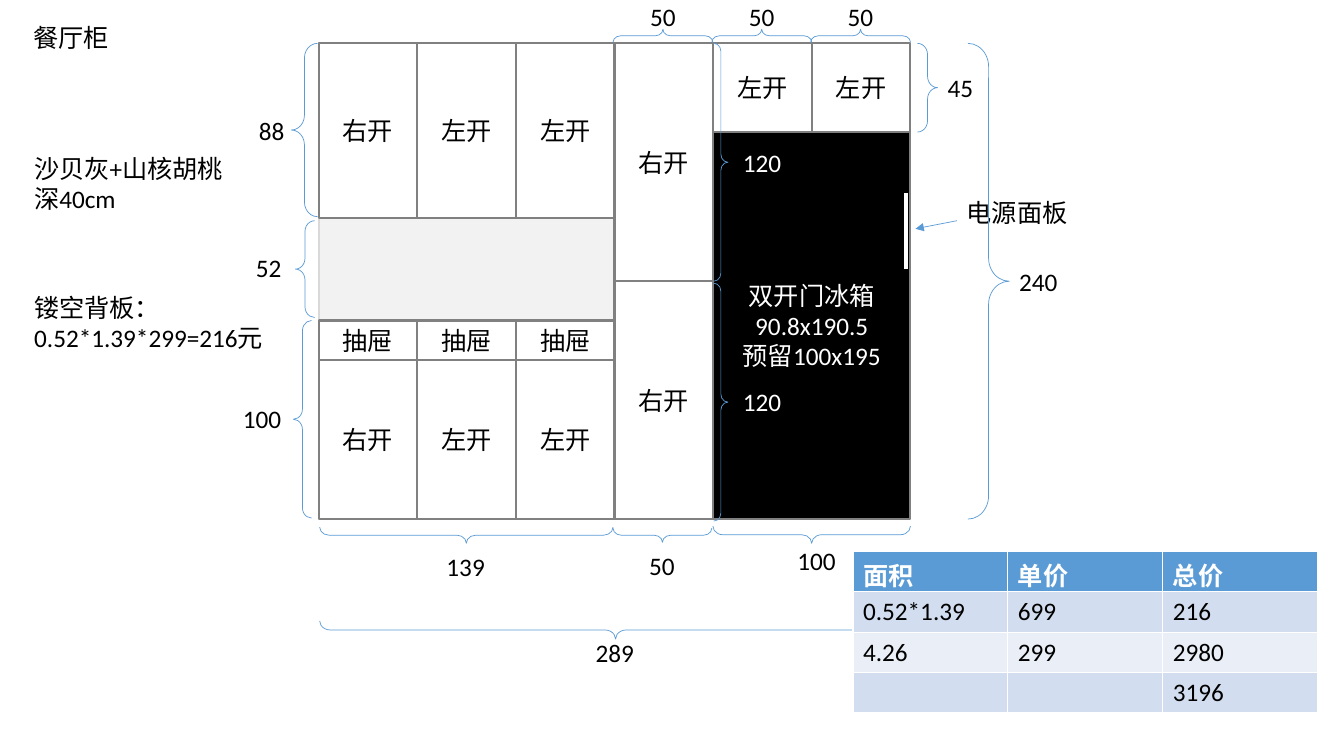
from dataclasses import dataclass

from lxml.etree import SubElement
from pptx import Presentation
from pptx.dml.color import RGBColor
from pptx.enum.shapes import MSO_CONNECTOR, MSO_SHAPE
from pptx.enum.text import MSO_ANCHOR, MSO_AUTO_SIZE, PP_ALIGN
from pptx.oxml.ns import qn
from pptx.shapes.autoshape import Shape
from pptx.slide import Slide
from pptx.text.text import TextFrame
from pptx.util import Inches, Pt


@dataclass(frozen=True)
class Theme:
    font: str = "Calibri"
    title_font: str = "Noto Sans CJK SC"
    size: int = 18
    black: str = "000000"
    white: str = "FFFFFF"
    accent: str = "5B9BD5"
    frame: str = "808080"
    carcass: str = "F2F2F2"
    carcass_line: str = "D9D9D9"
    bands: tuple[str, str] = ("D2DEEF", "EAEFF7")
    frame_width: float = 1.5
    thin_width: float = 0.5


@dataclass(frozen=True)
class Compartment:
    column: int
    top: float
    bottom: float
    label: str
    span: int = 1
    fill: str = "FFFFFF"
    color: str = "000000"


@dataclass(frozen=True)
class Dimension:
    """A brace by its visible box, with the place of its value."""
    value: str
    left: float
    top: float
    width: float
    height: float
    label_left: float
    label_top: float
    points: str
    color: str = "000000"


THEME = Theme()

# Cabinet grid
LEFT, TOP, BOTTOM = 3.16, 0.43, 5.15
WIDTH = 5.87
COLUMN = WIDTH / 6
UPPER_END, DRAWER_TOP, DRAWER_END = 2.16, 3.18, 3.57
TALL_SPLIT, FRIDGE_TOP = 2.79, 1.31
DOORS = ("右开", "左开", "左开")

COMPARTMENTS = [
    *(Compartment(i, TOP, UPPER_END, door) for i, door in enumerate(DOORS)),
    *(Compartment(i, DRAWER_TOP, DRAWER_END, "抽屉") for i in range(3)),
    *(Compartment(i, DRAWER_END, BOTTOM, door) for i, door in enumerate(DOORS)),
    Compartment(3, TOP, TALL_SPLIT, "右开"),
    Compartment(3, TALL_SPLIT, BOTTOM, "右开"),
    *(Compartment(i, TOP, FRIDGE_TOP, "左开") for i in (4, 5)),
    Compartment(4, FRIDGE_TOP, BOTTOM, "双开门冰箱\n90.8x190.5\n预留100x195",
                span=2, fill=THEME.black, color=THEME.white),
]

DIMENSIONS = [
    *(Dimension("50", 6.08 + 0.98 * i, 0.29, 0.99, 0.13, 6.35 + 0.98 * i, -0.04, "up")
      for i in range(3)),
    Dimension("88", 2.89, 0.43, 0.26, 1.72, 2.47, 1.09, "left"),
    Dimension("52", 2.93, 2.19, 0.19, 0.96, 2.44, 2.45, "left"),
    Dimension("100", 2.91, 3.18, 0.18, 1.96, 2.31, 3.95, "left"),
    Dimension("120", 7.08, 0.43, 0.14, 2.36, 7.27, 1.41, "right", THEME.white),
    Dimension("120", 7.08, 2.81, 0.14, 2.36, 7.27, 3.78, "right", THEME.white),
    Dimension("45", 9.1, 0.43, 0.2, 0.88, 9.3, 0.67, "right"),
    Dimension("240", 9.6, 0.43, 0.41, 4.72, 10.01, 2.59, "right"),
    Dimension("139", 3.17, 5.23, 2.91, 0.16, 4.33, 5.42, "down"),
    Dimension("50", 6.08, 5.24, 0.98, 0.14, 6.34, 5.41, "down"),
    Dimension("100", 7.07, 5.22, 1.96, 0.17, 7.81, 5.36, "down"),
    Dimension("289", 3.17, 6.16, 5.87, 0.18, 5.81, 6.27, "down"),
]

PRICES = [
    ("面积", "单价", "总价"),
    ("0.52*1.39", "699", "216"),
    ("4.26", "299", "2980"),
    ("", "", "3196"),
]


def write(frame: TextFrame, text: str, *, color: str = THEME.black, font: str = THEME.font,
          bold: bool = False, align: PP_ALIGN = PP_ALIGN.LEFT) -> None:
    for index, line in enumerate(text.split("\n")):
        paragraph = frame.add_paragraph() if index else frame.paragraphs[0]
        paragraph.alignment = align
        run = paragraph.add_run()
        run.text = line
        run.font.name = font
        run.font.size = Pt(THEME.size)
        run.font.bold = bold
        run.font.color.rgb = RGBColor.from_string(color)


def add_label(slide: Slide, text: str, left: float, top: float, width: float,
              height: float = 0.4, *, wrap: bool = False, color: str = THEME.black) -> None:
    box = slide.shapes.add_textbox(Inches(left), Inches(top), Inches(width), Inches(height))
    box.text_frame.word_wrap = wrap
    box.text_frame.auto_size = MSO_AUTO_SIZE.SHAPE_TO_FIT_TEXT
    write(box.text_frame, text, color=color)


def add_box(slide: Slide, left: float, top: float, width: float, height: float, *,
            fill: str, line: str, line_width: float = THEME.frame_width) -> Shape:
    shape = slide.shapes.add_shape(MSO_SHAPE.RECTANGLE, Inches(left), Inches(top),
                                   Inches(width), Inches(height))
    shape.shadow.inherit = False
    shape.fill.solid()
    shape.fill.fore_color.rgb = RGBColor.from_string(fill)
    shape.line.color.rgb = RGBColor.from_string(line)
    shape.line.width = Pt(line_width)
    return shape


def add_compartment(slide: Slide, part: Compartment) -> None:
    shape = add_box(slide, LEFT + COLUMN * part.column, part.top, COLUMN * part.span,
                    part.bottom - part.top, fill=part.fill, line=THEME.frame)
    shape.text_frame.vertical_anchor = MSO_ANCHOR.MIDDLE
    write(shape.text_frame, part.label, color=part.color, align=PP_ALIGN.CENTER)


def add_dimension(slide: Slide, dimension: Dimension) -> None:
    left, top, width, height = dimension.left, dimension.top, dimension.width, dimension.height
    turned = dimension.points in ("up", "down")
    if turned:
        left, top = left + (width - height) / 2, top + (height - width) / 2
        width, height = height, width
    brace = slide.shapes.add_shape(MSO_SHAPE.RIGHT_BRACE, Inches(left), Inches(top),
                                   Inches(width), Inches(height))
    brace.shadow.inherit = False
    brace.adjustments[0] = 0.584 if turned else 0.561
    brace.rotation = {"up": 270, "down": 90}.get(dimension.points, 0)
    if dimension.points == "left":
        brace.element.spPr.find(qn("a:xfrm")).set("flipH", "1")
    brace.fill.background()
    brace.line.color.rgb = RGBColor.from_string(THEME.accent)
    brace.line.width = Pt(THEME.thin_width)
    add_label(slide, dimension.value, dimension.label_left, dimension.label_top,
              0.2 + 0.13 * len(dimension.value), color=dimension.color)


def add_arrow(slide: Slide, start: tuple[float, float], end: tuple[float, float]) -> None:
    arrow = slide.shapes.add_connector(MSO_CONNECTOR.STRAIGHT, *map(Inches, start + end))
    arrow.line.color.rgb = RGBColor.from_string(THEME.accent)
    arrow.line.width = Pt(THEME.thin_width)
    SubElement(arrow.line._get_or_add_ln(), qn("a:tailEnd"), type="triangle")
    SubElement(arrow.element.spPr, qn("a:effectLst"))


def add_prices(slide: Slide) -> None:
    table = slide.shapes.add_table(len(PRICES), len(PRICES[0]), Inches(8.46), Inches(5.47),
                                   Inches(4.61), Inches(1.6)).table
    for row, values in enumerate(PRICES):
        header = row == 0
        fill = THEME.accent if header else THEME.bands[(row - 1) % 2]
        for column, value in enumerate(values):
            cell = table.cell(row, column)
            cell.fill.solid()
            cell.fill.fore_color.rgb = RGBColor.from_string(fill)
            if value:
                write(cell.text_frame, value, bold=header,
                      color=THEME.white if header else THEME.black)


def main() -> None:
    presentation = Presentation()
    presentation.slide_width, presentation.slide_height = Inches(13.33), Inches(7.5)
    slide = presentation.slides.add_slide(presentation.slide_layouts[5])

    # Title
    title = slide.shapes.title
    title.left, title.top, title.width, title.height = map(Inches, (0.23, 0.17, 0.96, 0.4))
    title.text_frame.word_wrap = False
    title.text_frame.auto_size = MSO_AUTO_SIZE.NONE
    title.text_frame.vertical_anchor = MSO_ANCHOR.TOP
    write(title.text_frame, "餐厅柜", font=THEME.title_font)

    # Cabinet
    add_box(slide, LEFT, TOP, WIDTH, BOTTOM - TOP, fill=THEME.carcass, line=THEME.carcass_line)
    for part in COMPARTMENTS:
        add_compartment(slide, part)

    # Power panel
    add_box(slide, 8.96, 1.91, 0.05, 0.77, fill=THEME.white, line=THEME.black, line_width=1)
    add_arrow(slide, (9.49, 2.19), (9.08, 2.27))
    add_label(slide, "电源面板", 9.49, 1.91, 1.21)

    # Dimensions
    for dimension in DIMENSIONS:
        add_dimension(slide, dimension)

    # Notes beside the cabinet and price table
    add_label(slide, "沙贝灰+山核胡桃\n深40cm", 0.24, 1.47, 2.1, 0.71, wrap=True)
    add_label(slide, "镂空背板：\n0.52*1.39*299=216元", 0.24, 2.85, 2.49, 0.71, wrap=True)
    add_prices(slide)

    presentation.save("out.pptx")


if __name__ == "__main__":
    main()
